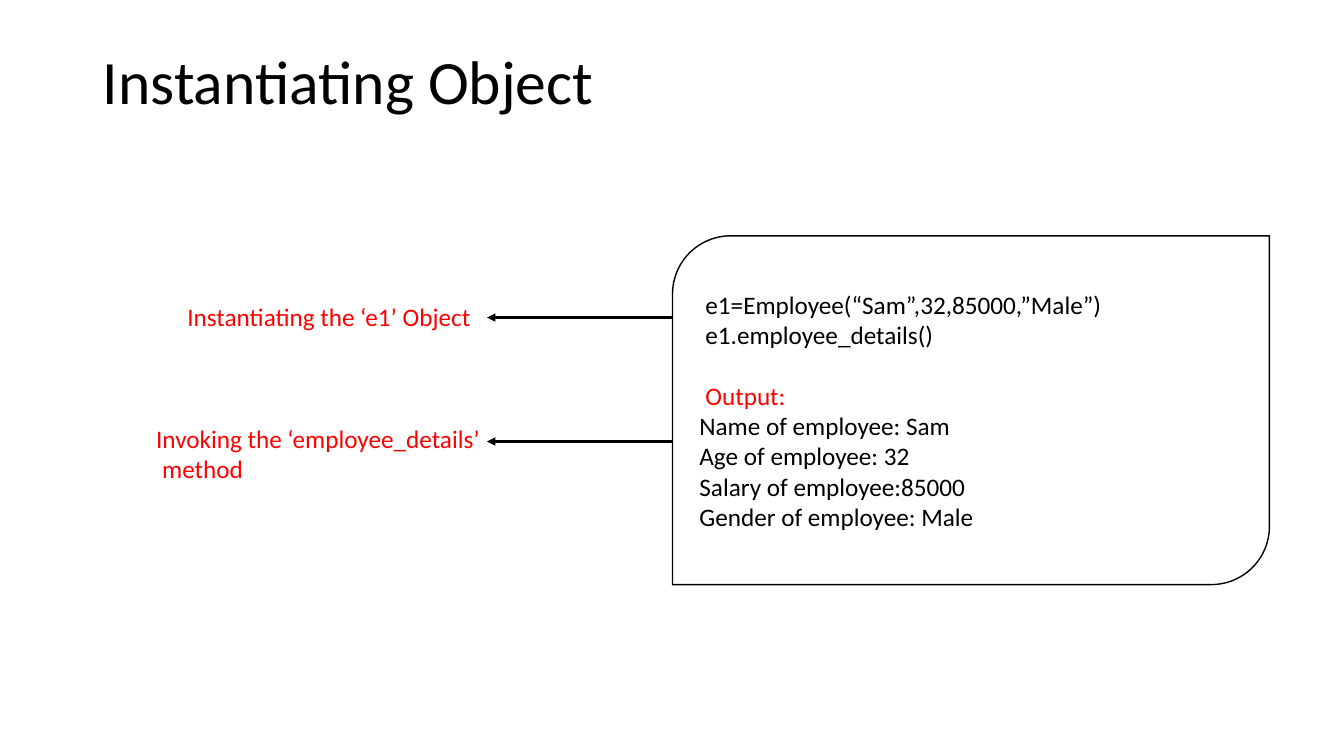
from lxml.etree import SubElement
from pptx import Presentation
from pptx.dml.color import RGBColor
from pptx.enum.shapes import MSO_CONNECTOR as LINK, MSO_SHAPE as SHAPE
from pptx.enum.text import MSO_ANCHOR as ANCHOR, PP_ALIGN as ALIGN
from pptx.oxml.ns import qn
from pptx.util import Inches, Pt

BLACK = RGBColor(0, 0, 0)
WHITE = RGBColor(255, 255, 255)
RED = RGBColor(255, 0, 0)
FONT = "Calibri"
INDENT = Inches(0.06)
CARD_X, NOTE_X = 6.67, 4.83

# Code card lines: text, colour, indented, points before
CODE = [
    ("e1=Employee(“Sam”,32,85000,”Male”)", BLACK, True, 0),
    ("e1.employee_details()", BLACK, True, 0),
    ("Output:", RED, True, 22),
    ("Name of employee: Sam", BLACK, False, 0),
    ("Age of employee: 32", BLACK, False, 0),
    ("Salary of employee:85000", BLACK, False, 0),
    ("Gender of employee: Male", BLACK, False, 0),
]
# Notes: box, arrow height, lines
NOTES = [
    ((1.76, 2.94, 3.05, 0.4), 3.15,
     [("Instantiating the ‘e1’ Object", RED, False, 0)]),
    ((1.45, 4.15, 3.45, 0.71), 4.38,
     [("Invoking the ‘employee_details’", RED, False, 0),
      ("method", RED, True, 0)]),
]


def style(para, size, color):
    para.alignment = ALIGN.LEFT
    para.font.name = FONT
    para.font.size = Pt(size)
    para.font.color.rgb = color


def write(frame, lines):
    for i, (text, color, inset, gap) in enumerate(lines):
        para = frame.add_paragraph() if i else frame.paragraphs[0]
        para.text = text
        style(para, 18, color)
        para.space_before = Pt(gap)
        if inset:
            props = para._p.get_or_add_pPr()
            props.set("marL", str(INDENT))
            props.set("indent", "0")


def add_title(slide, text):
    title = slide.shapes.title
    title.left, title.top = Inches(0.92), Inches(0.4)
    title.width, title.height = Inches(11.5), Inches(0.87)
    frame = title.text_frame
    frame.text = text
    frame.vertical_anchor = ANCHOR.MIDDLE
    para = frame.paragraphs[0]
    style(para, 44, BLACK)
    para.line_spacing = 0.9


def add_card(slide, box, lines):
    card = slide.shapes.add_shape(SHAPE.ROUND_2_DIAG_RECTANGLE,
                                  *map(Inches, box))
    card.shadow.inherit = False
    card.fill.solid()
    card.fill.fore_color.rgb = WHITE
    card.line.color.rgb = BLACK
    card.line.width = Pt(1)
    card.text_frame.vertical_anchor = ANCHOR.MIDDLE
    write(card.text_frame, lines)


def add_arrow(slide, start, end, y):
    arrow = slide.shapes.add_connector(
        LINK.STRAIGHT, Inches(start), Inches(y), Inches(end), Inches(y))
    arrow.line.color.rgb = BLACK
    arrow.line.width = Pt(1.5)
    SubElement(arrow.line._get_or_add_ln(), qn("a:tailEnd"), type="triangle")
    SubElement(arrow._element.spPr, qn("a:effectLst"))


def add_note(slide, box, lines):
    note = slide.shapes.add_textbox(*map(Inches, box))
    note.text_frame.word_wrap = False
    write(note.text_frame, lines)


def main():
    deck = Presentation()
    deck.slide_width, deck.slide_height = Inches(13.33), Inches(7.5)
    slide = deck.slides.add_slide(deck.slide_layouts[5])

    # Title and code card
    add_title(slide, "Instantiating Object")
    add_card(slide, (CARD_X, 2.34, 5.92, 3.46), CODE)

    # Notes with their arrows
    for box, y, lines in NOTES:
        add_arrow(slide, CARD_X, NOTE_X, y)
        add_note(slide, box, lines)

    deck.save("out.pptx")


main()
